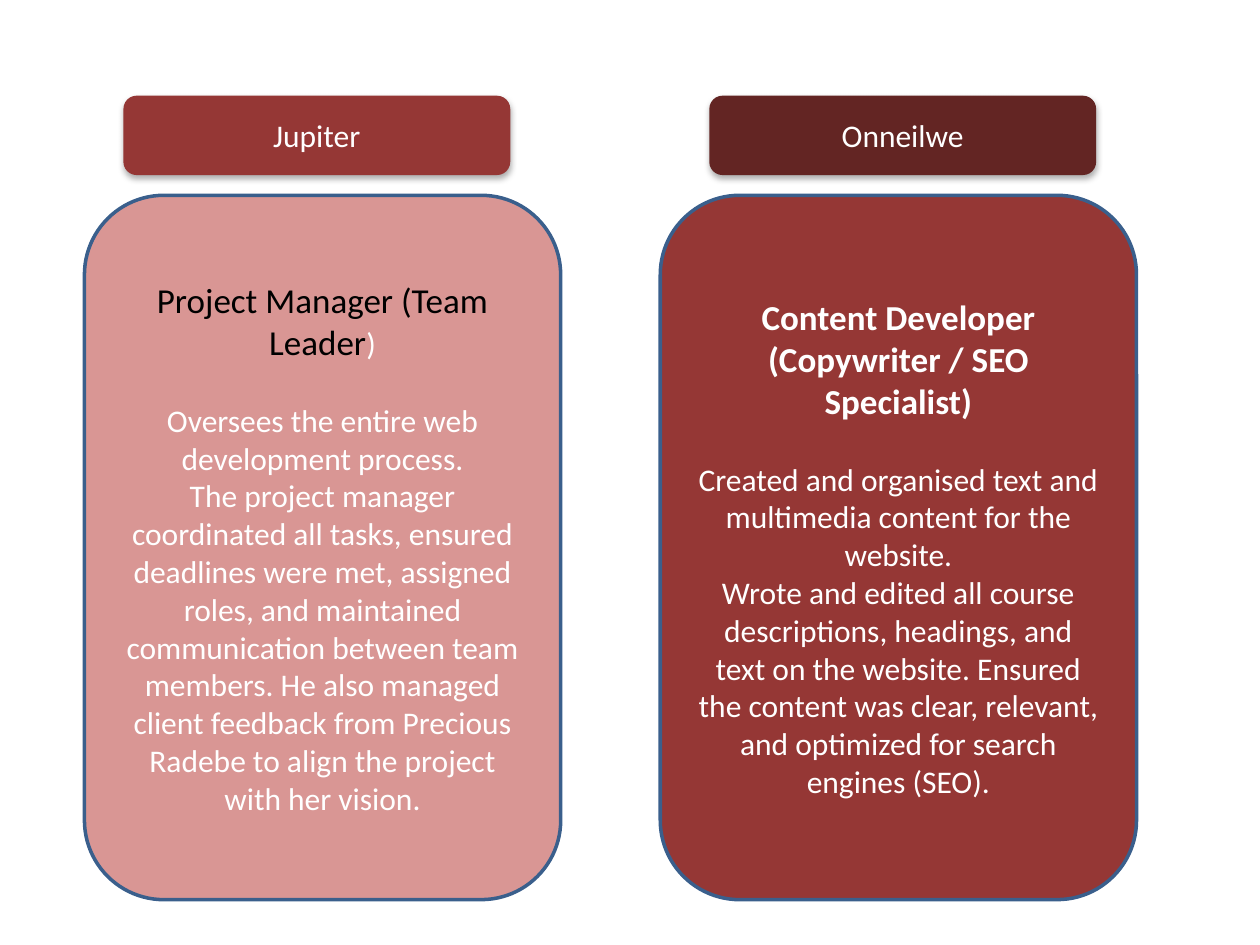
from dataclasses import dataclass

from lxml.etree import SubElement
from pptx import Presentation
from pptx.dml.color import RGBColor as Rgb
from pptx.enum.shapes import MSO_SHAPE as Kind
from pptx.enum.text import MSO_ANCHOR as Anchor, PP_ALIGN as Align
from pptx.oxml.ns import qn
from pptx.util import Inches, Pt


@dataclass(frozen=True)
class Theme:
    font: str = "Calibri"
    rose: str = "D99694"
    red: str = "953735"
    wine: str = "632523"
    edge: str = "3A5F8C"
    white: str = "FFFFFF"
    black: str = "000000"
    head: int = 20
    body: int = 18
    gap: int = 22


THEME = Theme()

ROLES = [
    dict(
        name="Jupiter", tag=THEME.red, fill=THEME.rose,
        card_x=0.67, tag_x=0.98,
        head=[("Project Manager (Team Leader", dict(size=THEME.head, color=THEME.black)),
              (")", {})],
        body=["Oversees the entire web development process.",
              "The project manager coordinated all tasks, ensured deadlines were met, "
              "assigned roles, and maintained communication between team members. "
              "He also managed client feedback from Precious Radebe to align the "
              "project with her vision."],
    ),
    dict(
        name="Onneilwe", tag=THEME.wine, fill=THEME.red,
        card_x=5.24, tag_x=5.63,
        head=[("Content Developer (Copywriter / SEO Specialist)",
               dict(size=THEME.head, bold=True))],
        body=["Created and organised text and multimedia content for the website.",
              "Wrote and edited all course descriptions, headings, and text on the "
              "website. Ensured the content was clear, relevant, and optimized for "
              "search engines (SEO)."],
    ),
]


def add_text(para, text, size=THEME.body, color=THEME.white, bold=False):
    para.alignment = Align.CENTER
    run = para.add_run()
    run.text = text
    font = run.font
    font.name = THEME.font
    font.size = Pt(size)
    font.bold = bold
    font.color.rgb = Rgb.from_string(color)


def add_box(slide, left, top, width, height, fill):
    box = slide.shapes.add_shape(
        Kind.ROUNDED_RECTANGLE,
        Inches(left), Inches(top), Inches(width), Inches(height))
    box.shadow.inherit = False
    box.fill.solid()
    box.fill.fore_color.rgb = Rgb.from_string(fill)
    box.text_frame.word_wrap = True
    box.text_frame.vertical_anchor = Anchor.MIDDLE
    return box


def add_shadow(box):
    effects = box.element.spPr.find(qn("a:effectLst"))
    shade = SubElement(effects, qn("a:outerShdw"), blurRad=str(Pt(3.5)),
                       dist=str(Pt(2.2)), dir="5400000", rotWithShape="0")
    color = SubElement(shade, qn("a:srgbClr"), val=THEME.black)
    SubElement(color, qn("a:alpha"), val="32000")


def add_card(slide, role):
    card = add_box(slide, role["card_x"], 1.55, 3.78, 5.59, role["fill"])
    card.line.color.rgb = Rgb.from_string(THEME.edge)
    card.line.width = Pt(2)
    frame = card.text_frame
    for text, style in role["head"]:
        add_text(frame.paragraphs[0], text, **style)
    for i, text in enumerate(role["body"]):
        para = frame.add_paragraph()
        para.space_before = Pt(0 if i else THEME.gap)
        add_text(para, text)


def add_tag(slide, role):
    tag = add_box(slide, role["tag_x"], 0.76, 3.07, 0.63, role["tag"])
    tag.line.fill.background()
    add_shadow(tag)
    add_text(tag.text_frame.paragraphs[0], role["name"])


def main():
    deck = Presentation()
    deck.slide_width = Inches(10)
    deck.slide_height = Inches(7.5)
    slide = deck.slides.add_slide(deck.slide_layouts[6])
    for draw in (add_card, add_tag):
        for role in ROLES:
            draw(slide, role)
    deck.save("out.pptx")


if __name__ == "__main__":
    main()
